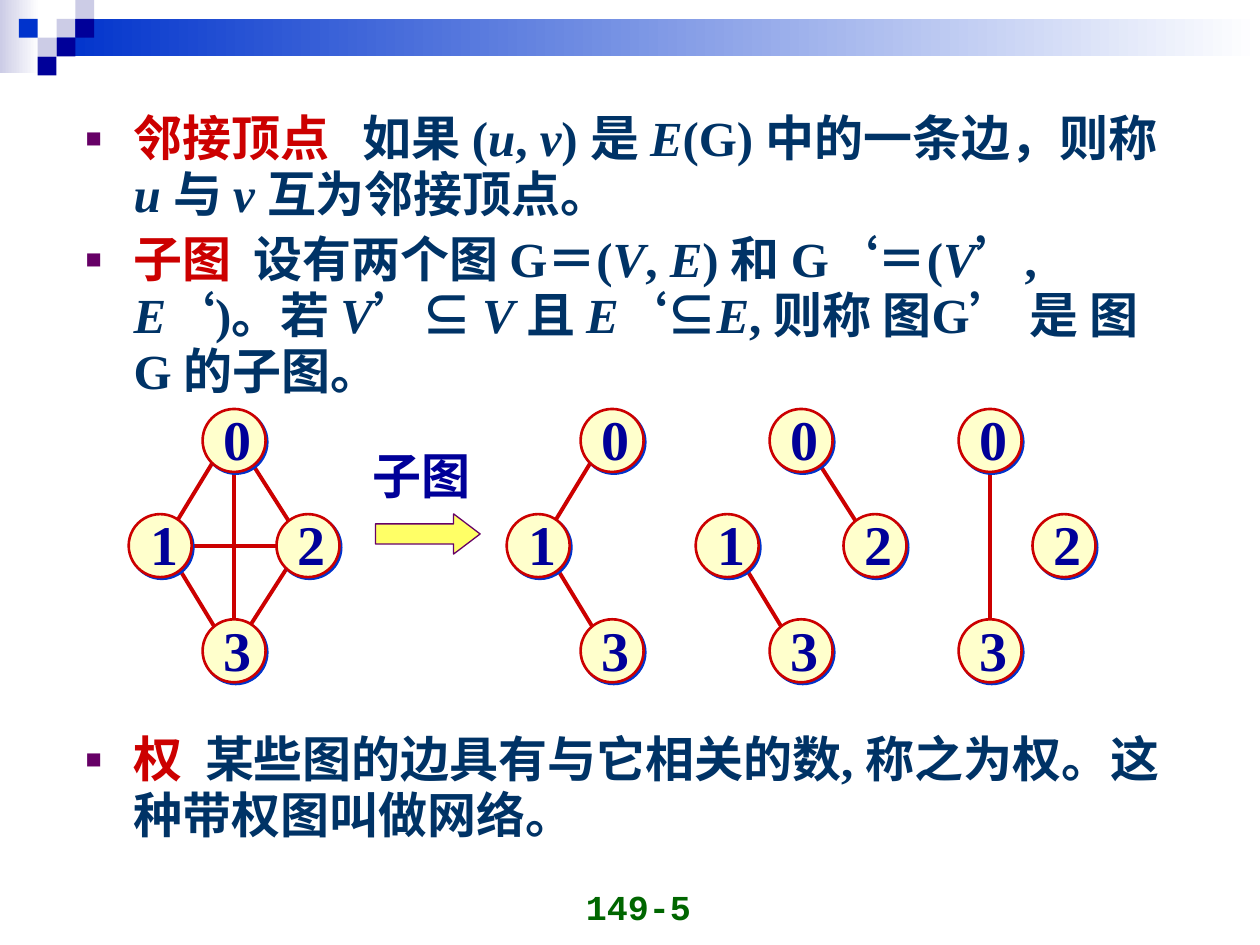
from typing import NamedTuple

from lxml.etree import SubElement as Sub
from pptx import Presentation
from pptx.dml.color import RGBColor as Rgb
from pptx.enum.shapes import MSO_CONNECTOR as Link, MSO_SHAPE as Kind
from pptx.enum.text import MSO_ANCHOR as Anchor, MSO_AUTO_SIZE as Auto, PP_ALIGN as Align
from pptx.oxml.ns import qn
from pptx.util import Cm, Pt

HUES = {
    "red": "CC0000", "text": "003366", "navy": "000099", "blue": "0033CC",
    "pale": "CCCCE6", "white": "FFFFFF", "cream": "FFFFCC", "yellow": "FFFF66",
    "plum": "660066", "green": "006600",
}
SERIF = "Times New Roman"


class Item(NamedTuple):
    term: str
    rest: str  # asterisks switch italics on and off
    tab: float
    gap: float


class Graph(NamedTuple):
    x: float
    nodes: str
    edges: tuple


ITEMS = [
    Item("邻接顶点", "如果 (*u*, *v*) 是 *E*(G) 中的一条边，则称 *u *与 *v *互为邻接顶点。", 5.59, 0),
    Item("子图", "设有两个图 G＝(*V*, *E*) 和 G‘＝(*V*’, *E*‘)。若 *V*’**⊆ *V *且 *E*‘**⊆*E*"
         ", 则称 图G’ 是 图G 的子图。", 3.39, 5.2),
    Item("权", "某些图的边具有与它相关的数, 称之为权。这种带权图叫做网络。", 2.41, 190),
]
MID = 11.0
SIZE = 1.27
# Offsets from the centre of a graph
NODES = {"1": (-1.49, 0), "2": (1.49, 0), "0": (0, -2.12), "3": (0, 2.12)}
EDGES = {
    "23": (1.27, 0.13, 0.2, 1.8), "01": (-0.23, -2.01, -1.27, -0.3),
    "13": (-1.27, 0.2, -0.23, 1.91), "02": (0.2, -1.91, 1.27, -0.23),
    "12": (-1.07, 0, 1.27, 0), "03": (0, -1.7, 0, 2.03),
}
GRAPHS = [
    Graph(4.72, "1203", tuple(EDGES)),
    Graph(12.34, "103", ("01", "13")),
    Graph(16.15, "1203", ("13", "02")),
    Graph(19.96, "203", ("03",)),
]


def hue(name: str) -> Rgb:
    return Rgb.from_string(HUES[name])


def style(font, size: float, color: str, face: str = SERIF) -> None:
    font.size, font.name, font.bold = Pt(size), face, True
    font.color.rgb = hue(color)


def block(slide, kind, box: tuple, fill: str, line: str = "", width: float = 0):
    shape = slide.shapes.add_shape(kind, *map(Cm, box))
    shape.shadow.inherit = False
    shape.fill.solid()
    shape.fill.fore_color.rgb = hue(fill)
    if line:
        shape.line.color.rgb = hue(line)
        shape.line.width = Pt(width)
    else:
        shape.line.fill.background()
    return shape


def fade(slide, box: tuple, start: str) -> None:
    bar = block(slide, Kind.RECTANGLE, box, start)
    bar.fill.gradient()
    bar.fill.gradient_angle = 0
    for stop, name, spot in zip(bar.fill.gradient_stops, (start, "white"), (0, 1)):
        stop.color.rgb = hue(name)
        stop.position = spot


def label(slide, box: tuple, text: str, size: float, color: str = "navy",
          face: str = SERIF, wrap: bool = True):
    frame = slide.shapes.add_textbox(*map(Cm, box)).text_frame
    frame.word_wrap = wrap
    frame.text = text
    style(frame.paragraphs[0].runs[0].font, size, color, face)
    return frame


def edge(slide, x: float, ends: tuple) -> None:
    x1, y1, x2, y2 = ends
    line = slide.shapes.add_connector(
        Link.STRAIGHT, Cm(x + x1), Cm(MID + y1), Cm(x + x2), Cm(MID + y2))
    line.line.color.rgb = hue("red")
    line.line.width = Pt(2.25)
    Sub(line.element.spPr, qn("a:effectLst"))


def node(slide, x: float, y: float) -> None:
    disc = block(slide, Kind.OVAL, (x, y, SIZE, SIZE), "cream", "red", 1.5)
    effects = disc.element.spPr.find(qn("a:effectLst"))
    shade = Sub(effects, qn("a:outerShdw"), dist=str(Pt(1.4)), dir="2700000",
                algn="ctr", rotWithShape="0")
    Sub(shade, qn("a:srgbClr"), val=HUES["blue"])


def draw(slide, graph: Graph) -> None:
    for name in graph.edges:
        edge(slide, graph.x, EDGES[name])
    spots = {n: (graph.x + NODES[n][0] - SIZE / 2, MID + NODES[n][1] - SIZE / 2)
             for n in graph.nodes}
    for x, y in spots.values():
        node(slide, x, y)
    for name, (x, y) in spots.items():
        label(slide, (x + 0.18, y - 0.21, 1.07, 1.63), name, 32, wrap=False)


def bullet(para, tab: float) -> None:
    props = para._p.get_or_add_pPr()
    props.set("marL", str(Cm(0.97)))
    props.set("indent", str(-Cm(0.97)))
    Sub(Sub(props, qn("a:buClr")), qn("a:srgbClr"), val=HUES["plum"])
    Sub(props, qn("a:buSzPct"), val="55000")
    Sub(props, qn("a:buFont"), typeface="Arial")
    Sub(props, qn("a:buChar"), char="■")
    Sub(Sub(props, qn("a:tabLst")), qn("a:tab"), pos=str(Cm(tab)), algn="l")


def write(para, item: Item) -> None:
    bullet(para, item.tab)
    para.line_spacing = 0.95
    para.space_before = Pt(item.gap)
    para.text = item.term + "\t"
    style(para.runs[0].font, 28, "red")
    for i, text in enumerate(item.rest.split("*")):
        if text:
            run = para.add_run()
            run.text = text
            style(run.font, 28, "text", "Arial" if "⊆" in text else SERIF)
            run.font.italic = i % 2 == 1


def main() -> None:
    deck = Presentation()
    deck.slide_width, deck.slide_height = Cm(25.4), Cm(19.05)
    slide = deck.slides.add_slide(deck.slide_layouts[1])
    title = slide.shapes.title.element
    title.getparent().remove(title)

    # Header band and its checker
    fade(slide, (0, 0, 0.79, 1.47), "pale")
    fade(slide, (1.14, 0.38, 24.26, 0.76), "blue")
    unit = 0.38
    for col, row, color in [(3, 1, "pale"), (4, 0, "pale"), (4, 1, "navy"), (2, 2, "pale"),
                            (1, 1, "blue"), (3, 2, "navy"), (2, 3, "navy")]:
        block(slide, Kind.RECTANGLE, (col * unit, row * unit, unit, unit), color)

    # Page number
    foot = label(slide, (9.91, 17.55, 5.92, 1.27), "149-5", 20, "green", "Courier New")
    foot.vertical_anchor = Anchor.BOTTOM
    foot.paragraphs[0].alignment = Align.CENTER

    # Definitions
    body = slide.placeholders[1]
    body.left, body.top, body.width, body.height = map(Cm, (1.47, 2.13, 22.43, 15.9))
    frame = body.text_frame
    frame.auto_size = Auto.NONE
    for i, item in enumerate(ITEMS):
        write(frame.add_paragraph() if i else frame.paragraphs[0], item)

    # Graph and its subgraphs
    for graph in GRAPHS:
        draw(slide, graph)
    arrow = block(slide, Kind.RIGHT_ARROW, (7.57, 10.36, 2.11, 0.81), "yellow", "plum", 0.75)
    arrow.adjustments[1] = 0.66
    label(slide, (7.26, 8.86, 3.02, 1.45), "子图", 28)

    deck.save("out.pptx")


if __name__ == "__main__":
    main()
